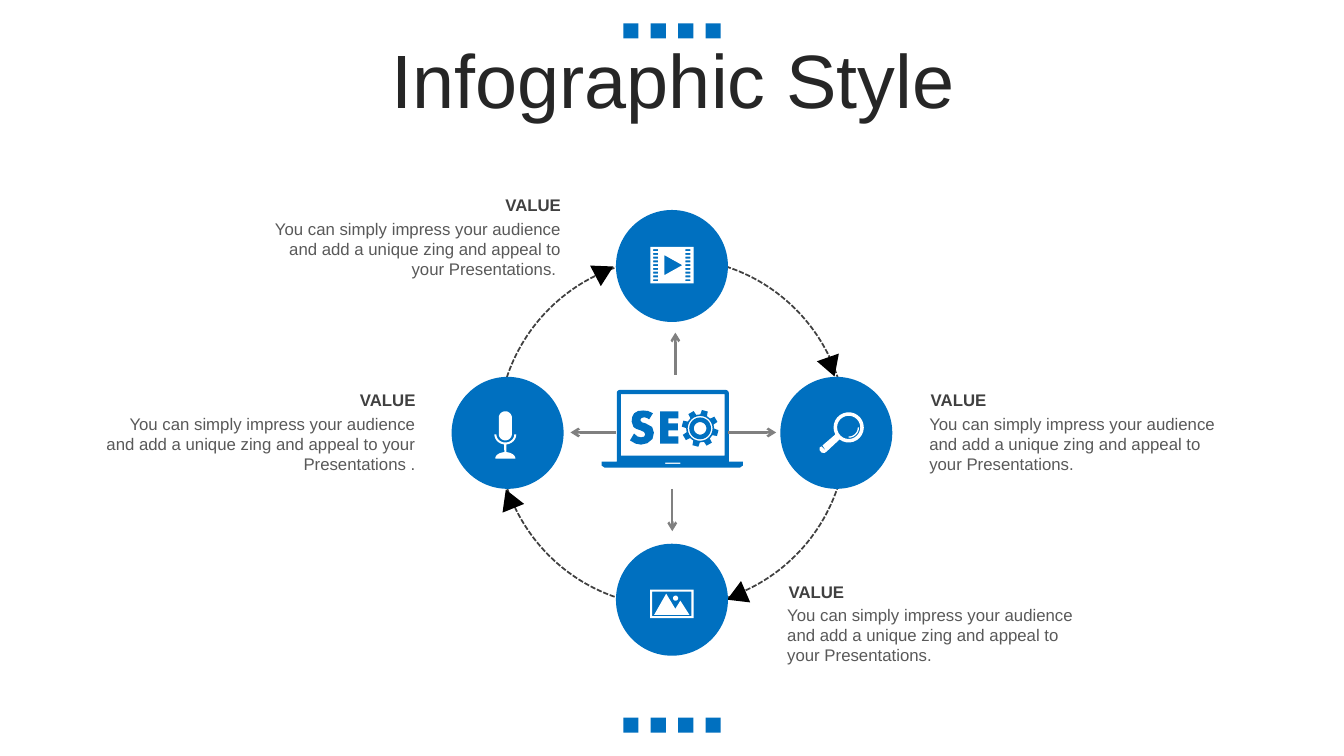
from math import cos, radians, sin
from typing import NamedTuple

from lxml.etree import SubElement
from pptx import Presentation
from pptx.dml.color import RGBColor
from pptx.enum.dml import MSO_LINE
from pptx.enum.shapes import MSO_CONNECTOR as Connector, MSO_SHAPE as Preset
from pptx.enum.text import MSO_ANCHOR as Anchor, MSO_AUTO_SIZE as AutoSize, PP_ALIGN as Align
from pptx.oxml.ns import qn
from pptx.util import Pt

COLOURS = {
    "blue": "0070C0", "white": "FFFFFF", "black": "000000", "title": "262626",
    "heading": "404040", "body": "595959", "arrow": "808080",
}
Point = tuple[float, float]
Contour = list[Point]


class Arrowhead(NamedTuple):
    left: float
    top: float
    rotation: float


class Arrow(NamedTuple):
    start: Point
    end: Point


class Value(NamedTuple):
    left: float
    top: float
    width: float
    align: Align
    ending: str


class Icon(NamedTuple):
    colour: str
    contours: list[Contour]


HUB_X, HUB_Y = 480, 309.2
NODE_SIZE = 80
NODE_OFFSETS = [(0, -119.2), (117.4, 0), (-117.4, 0), (0, 119.2)]
ARROWHEADS = [
    Arrowhead(423.4, 186.5, 62.3), Arrowhead(585.4, 254.9, 160.7),
    Arrowhead(517.7, 418.3, 246.7), Arrowhead(355.7, 349.2, 338),
]
ARROWS = [
    Arrow((482.4, 267.8), (482.4, 237.6)), Arrow((480.2, 349.2), (480.2, 379.4)),
    Arrow((440, 308.9), (407.5, 308.9)), Arrow((520, 308.9), (554.4, 308.9)),
]
MESSAGE = "You can simply impress your audience and add a unique zing and appeal to your Presentations"
VALUES = [
    Value(180.7, 156.2, 220, Align.RIGHT, ". "),
    Value(562.3, 432, 220, Align.LEFT, "."),
    Value(663.8, 295.2, 220, Align.LEFT, "."),
    Value(75.4, 295.2, 221.4, Align.RIGHT, " ."),
]


def box(left: float, top: float, width: float, height: float) -> Contour:
    right, bottom = left + width, top + height
    return [(left, top), (right, top), (right, bottom), (left, bottom)]


def arc(x: float, y: float, radius_x: float, radius_y: float, start: float, end: float) -> Contour:
    """Points on an ellipse around (x, y); angles run clockwise from the right."""
    steps = 24
    angles = [radians(start + (end - start) * step / steps) for step in range(steps + 1)]
    return [(x + radius_x * cos(angle), y + radius_y * sin(angle)) for angle in angles]


def circle(x: float, y: float, radius: float) -> Contour:
    return arc(x, y, radius, radius, 0, 360)


def film_icon() -> Icon:
    holes = [box(left, 177.9 + 2.7 * row, 3.6, 1.4) for left in (466.6, 489.6) for row in range(9)]
    play = [(474.5, 182.2), (474.5, 196.6), (487.4, 189.4)]
    return Icon("white", [box(464.6, 176.4, 30.8, 26), play, *holes])


def microphone_icon() -> Icon:
    x, cradle_y, base_y = 361, 310.3, 327.6
    capsule = arc(x, 298.5, 4.7, 4.7, 180, 360) + arc(x, 309.9, 4.7, 4.7, 0, 180)
    stand = (
        arc(x, cradle_y, 7.8, 7.2, 0, 84) + arc(x, base_y, 7.2, 4.6, -84, 0)
        + arc(x, base_y, 7.2, 4.6, 180, 264) + arc(x, cradle_y, 7.8, 7.2, 96, 180)
        + arc(x, cradle_y, 6.4, 5.8, 180, 0)
    )
    return Icon("white", [capsule, stand])


def photo_icon() -> Icon:
    mountains = [(475.9, 424.1), (482.4, 434.9), (486, 429.1), (492.5, 439.2), (467.3, 439.2)]
    return Icon("white", [
        box(464.4, 421.2, 31, 20.4), box(465.9, 422.7, 28, 17.4),
        circle(482.6, 427.3, 1.8), mountains,
    ])


def magnifier_icon() -> Icon:
    x, y = 606.2, 305.3
    frame = arc(x, y, 10.8, 10.8, 152, 487) + [(590.4, 322.6), (587.5, 318.2)]
    glint = arc(x, y, 7.4, 7.4, 0, 90) + arc(x, y, 6.5, 6.5, 90, 0)
    grip = [(590.4, 322.6), (588.9, 323.6), (586.8, 323.3),
            (585.4, 321.5), (585.4, 319.7), (586.8, 318.9)]
    return Icon("white", [frame, circle(x, y, 8.3), glint, grip])


def laptop_icon() -> Icon:
    case = (
        arc(442.8, 280.8, 2.2, 2.2, 180, 270) + arc(518.4, 280.8, 2.2, 2.2, 270, 360)
        + [(520.6, 329.8), (530.6, 329.8), (530.6, 332.6), (528.5, 334.1),
           (432, 334.1), (429.8, 332.6), (429.8, 329.8), (440.6, 329.8)]
    )
    return Icon("blue", [case, box(443.5, 281.5, 74.2, 43.9), box(475.2, 330.5, 10.8, 0.9)])


def gear_icon() -> Icon:
    x, y = 500.1, 306
    teeth: Contour = []
    for tooth in range(8):
        middle = -75 + 45 * tooth
        for angle, radius in ((-14, 10), (-9.5, 13.2), (9.5, 13.2), (14, 10)):
            direction = radians(middle + angle)
            teeth.append((x + radius * cos(direction), y + radius * sin(direction)))
    return Icon("blue", [teeth, *(circle(x, y, radius) for radius in (8.9, 7.8, 4.5))])


LETTER_S = Icon("blue", [[
    (459.4, 293.2), (463, 293.6), (466.4, 295.2), (463.7, 299.6), (462, 298.5), (460.2, 298.1),
    (458.2, 298.6), (457.3, 300.1), (458.5, 301.6), (461.5, 302.6), (465.8, 305), (467.1, 309),
    (466.1, 313.5), (462.4, 316.6), (457.9, 317.6), (454, 316.9), (450, 314.6), (452.9, 309.7),
    (455.4, 311.8), (457.9, 312.4), (460.1, 311.9), (460.9, 310.4), (460.1, 308.6),
    (457.3, 307.3), (454.5, 306.4), (452.5, 305), (451.2, 301.2), (451.6, 297.8),
    (453, 295.2), (455.8, 293.6),
]])
LETTER_E = Icon("blue", [[
    (471.6, 293.8), (484.6, 293.8), (484.6, 298.8), (477.4, 298.8), (477.4, 302.4), (484.2, 302.4),
    (484.2, 307.4), (477.4, 307.4), (477.4, 311.8), (484.6, 311.8), (484.6, 316.8), (471.6, 316.8),
]])


def rgb(name: str) -> RGBColor:
    return RGBColor.from_string(COLOURS[name])


def paint(shape, colour: str) -> None:
    shape.shadow.inherit = False
    shape.fill.solid()
    shape.fill.fore_color.rgb = rgb(colour)
    shape.line.fill.background()


def add_preset(slide, preset: Preset, left: float, top: float, width: float, height: float, colour: str):
    shape = slide.shapes.add_shape(preset, Pt(left), Pt(top), Pt(width), Pt(height))
    paint(shape, colour)
    return shape


def add_icon(slide, icon: Icon) -> None:
    """Draw all contours as one outline, so that inner contours become holes."""
    contours = [[(Pt(x), Pt(y)) for x, y in contour] for contour in icon.contours]
    builder = slide.shapes.build_freeform(*contours[0][0])
    for index, contour in enumerate(contours):
        if index:
            builder.move_to(*contour[0])
        builder.add_line_segments(contour[1:], close=True)
    paint(builder.convert_to_shape(), icon.colour)


def add_arrow(slide, arrow: Arrow) -> None:
    ends = [Pt(length) for length in (*arrow.start, *arrow.end)]
    connector = slide.shapes.add_connector(Connector.STRAIGHT, *ends)
    connector.line.color.rgb = rgb("arrow")
    connector.line.width = Pt(1.75)
    properties = connector._element.spPr
    SubElement(properties.find(qn("a:ln")), qn("a:tailEnd"), type="arrow")
    SubElement(properties, qn("a:effectLst"))


def write(paragraph, text: str, size: float, colour: str, align: Align, bold: bool = False) -> None:
    paragraph.alignment = align
    run = paragraph.add_run()
    run.text = text
    run.font.name, run.font.size, run.font.bold = "Arial", Pt(size), bold
    run.font.color.rgb = rgb(colour)


def add_value(slide, value: Value) -> None:
    inward = -0.5 if value.align == Align.RIGHT else 1
    parts = [("VALUE", inward, -16.8, 14.4, "heading", True),
             (MESSAGE + value.ending, 0, 0, 43.9, "body", False)]
    for text, shift, rise, height, colour, bold in parts:
        label = slide.shapes.add_textbox(
            Pt(value.left + max(shift, 0)), Pt(value.top + rise), Pt(value.width), Pt(height))
        frame = label.text_frame
        frame.word_wrap = True
        frame.margin_left = frame.margin_right = frame.margin_top = frame.margin_bottom = 0
        write(frame.paragraphs[0], text, 12, colour, value.align, bold)


def add_title(slide) -> None:
    title = slide.shapes.title
    title.left, title.top, title.width, title.height = Pt(25.2), Pt(31.7), Pt(911.5), Pt(56.9)
    frame = title.text_frame
    frame.auto_size, frame.vertical_anchor, frame.word_wrap = AutoSize.NONE, Anchor.MIDDLE, True
    frame.paragraphs[0].line_spacing = 0.9
    write(frame.paragraphs[0], "Infographic Style", 54, "title", Align.CENTER)


def main() -> None:
    presentation = Presentation()
    presentation.slide_width, presentation.slide_height = Pt(960), Pt(540)
    slide = presentation.slides.add_slide(presentation.slide_layouts[5])
    for top in (16.6, 512.6):
        for column in range(4):
            add_preset(slide, Preset.RECTANGLE, 445.2 + 19.6 * column, top, 10.8, 10.8, "blue")
    ring = add_preset(slide, Preset.OVAL, 355.7, 184.3, 249, 249, "white")
    ring.fill.background()
    ring.line.color.rgb = rgb("heading")
    ring.line.width, ring.line.dash_style = Pt(1.25), MSO_LINE.SQUARE_DOT
    for head in ARROWHEADS:
        triangle = add_preset(slide, Preset.ISOSCELES_TRIANGLE, head.left, head.top, 16.6, 14.4, "black")
        triangle.rotation = head.rotation
    add_title(slide)
    for x, y in NODE_OFFSETS:
        left, top = HUB_X + x - NODE_SIZE / 2, HUB_Y + y - NODE_SIZE / 2
        add_preset(slide, Preset.OVAL, left, top, NODE_SIZE, NODE_SIZE, "blue")
    for value in VALUES:
        add_value(slide, value)
    for icon in (film_icon(), microphone_icon(), photo_icon(), laptop_icon(),
                 magnifier_icon(), gear_icon(), LETTER_S, LETTER_E):
        add_icon(slide, icon)
    for arrow in ARROWS:
        add_arrow(slide, arrow)
    presentation.save("out.pptx")


if __name__ == "__main__":
    main()
